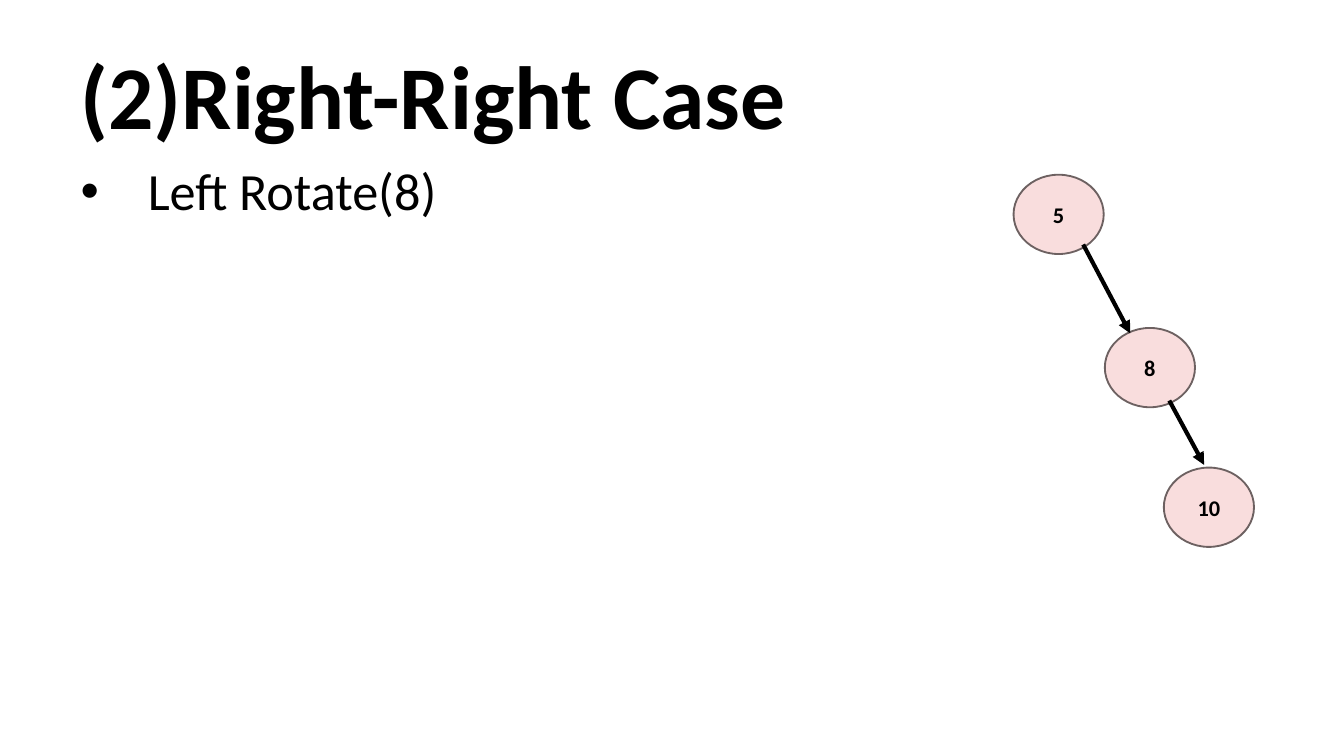
import pptx
import pptx.util
import pptx.dml.color
import pptx.enum.shapes
import pptx.enum.text
import pptx.oxml.ns
from lxml import etree

Pt = pptx.util.Pt
COLORS = {"text": "000000", "node": "F9DDDD", "outline": "6D6161", "background": "FFFFFF"}
NODE_WIDTH, NODE_HEIGHT = 48.3, 42.5
NODES = [("5", 543, 93.6), ("8", 591.9, 175.7), ("10", 623.5, 250.5)]
EDGES = [((580.3, 131), (605.5, 178.6)), ((626.4, 214.6), (645.1, 249.1))]


def color(name):
    return pptx.dml.color.RGBColor.from_string(COLORS[name])


def add_element(parent, tag, **attributes):
    return etree.SubElement(parent, pptx.oxml.ns.qn(tag), **attributes)


def write_text(shape, text, size, bold=False, align="LEFT", anchor="TOP",
               line_spacing=1.0, bullet=None, indent=0):
    frame = shape.text_frame
    frame.word_wrap = True
    frame.auto_size = pptx.enum.text.MSO_AUTO_SIZE.NONE
    frame.vertical_anchor = pptx.enum.text.MSO_ANCHOR[anchor]
    paragraph = frame.paragraphs[0]
    paragraph.text = text
    paragraph.alignment = pptx.enum.text.PP_ALIGN[align]
    paragraph.line_spacing = line_spacing
    paragraph.space_before = Pt(0)
    if bullet:
        properties = paragraph._p.get_or_add_pPr()
        properties.set("marL", str(Pt(indent)))
        properties.set("indent", str(-Pt(indent)))
        add_element(properties, "a:buFont", typeface="Arial")
        add_element(properties, "a:buChar", char=bullet)
    font = paragraph.runs[0].font
    font.name = "Calibri"
    font.size = Pt(size)
    font.bold = bold
    font.color.rgb = color("text")


def place(shape, left, top, width, height):
    shape.left, shape.top = Pt(left), Pt(top)
    shape.width, shape.height = Pt(width), Pt(height)


def add_node(slide, label, left, top):
    node = slide.shapes.add_shape(pptx.enum.shapes.MSO_SHAPE.OVAL, Pt(left), Pt(top),
                                  Pt(NODE_WIDTH), Pt(NODE_HEIGHT))
    node.shadow.inherit = False
    node.fill.solid()
    node.fill.fore_color.rgb = color("node")
    node.line.color.rgb = color("outline")
    node.line.width = Pt(1)
    write_text(node, label, size=12, bold=True, align="CENTER", anchor="MIDDLE")


def add_arrow(slide, start, end):
    arrow = slide.shapes.add_connector(pptx.enum.shapes.MSO_CONNECTOR.STRAIGHT,
                                       *map(Pt, start + end))
    arrow.line.color.rgb = color("text")
    arrow.line.width = Pt(2.25)
    add_element(arrow.line._get_or_add_ln(), "a:tailEnd", type="triangle")
    add_element(arrow._element.spPr, "a:effectLst")


def main():
    presentation = pptx.Presentation()
    presentation.slide_width, presentation.slide_height = Pt(720), Pt(405)
    slide = presentation.slides.add_slide(presentation.slide_layouts[1])
    slide.background.fill.solid()
    slide.background.fill.fore_color.rgb = color("background")
    title, body = slide.placeholders
    place(title, 36, 22.5, 648, 62.5)
    write_text(title, "(2)Right-Right Case", size=48, bold=True, anchor="MIDDLE",
               line_spacing=0.9)
    place(body, 36, 85, 324, 297.5)
    write_text(body, "Left Rotate(8)", size=28, line_spacing=0.9, bullet="•", indent=36)
    for label, left, top in NODES:
        add_node(slide, label, left, top)
    for start, end in EDGES:
        add_arrow(slide, start, end)
    presentation.save("out.pptx")


if __name__ == "__main__":
    main()
